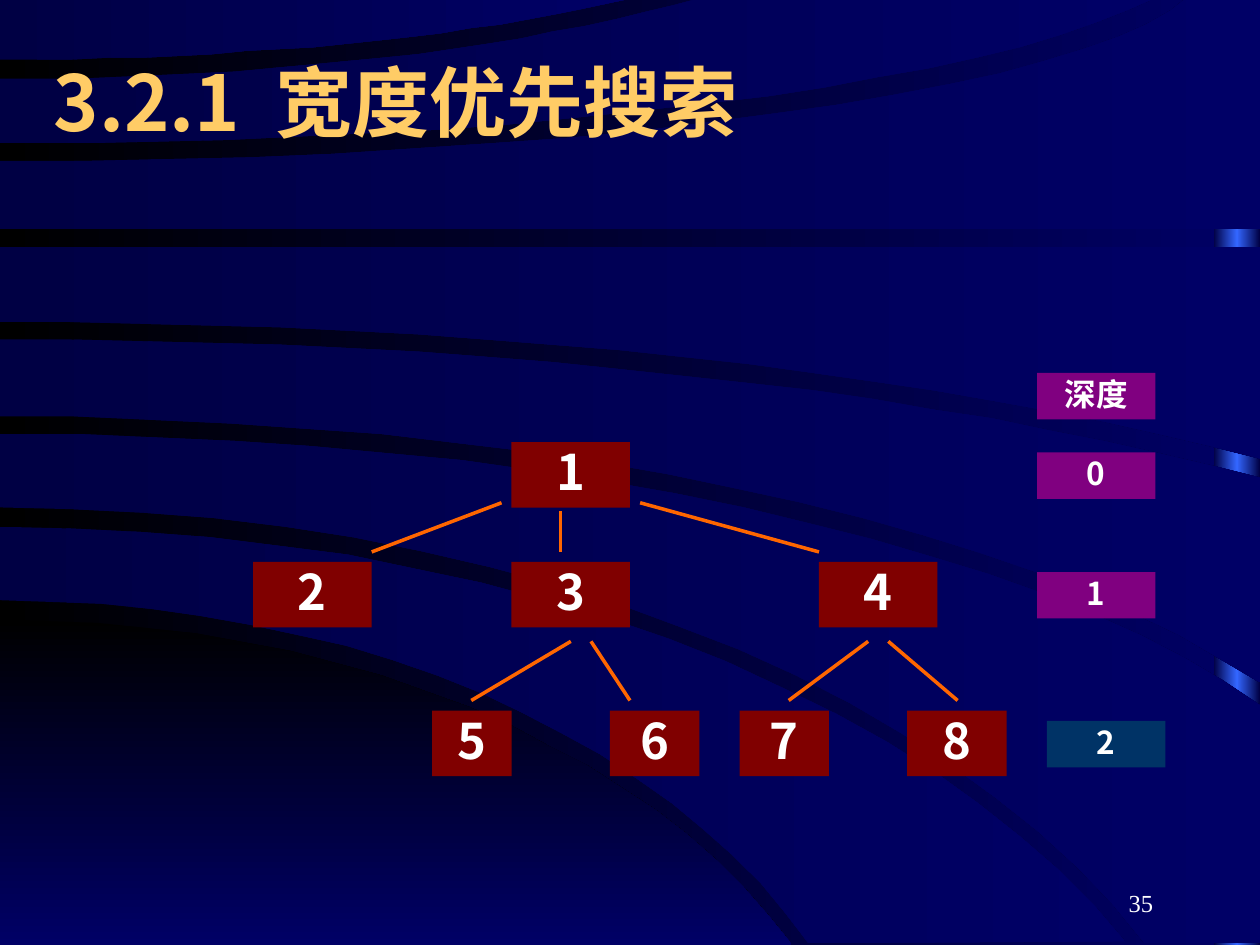
from copy import deepcopy
from math import asin, cos, sin
from pptx import Presentation
from pptx.dml.color import RGBColor
from pptx.enum.shapes import MSO_CONNECTOR, MSO_SHAPE
from pptx.enum.text import MSO_ANCHOR, PP_ALIGN
from pptx.oxml.ns import qn
from pptx.util import Pt
from lxml import etree

BLACK = RGBColor(0x00, 0x00, 0x00)
DEEP = RGBColor(0x00, 0x00, 0x44)
NAVY = RGBColor(0x00, 0x00, 0x66)
GLOW = RGBColor(0x33, 0x66, 0xFF)
GOLD = RGBColor(0xFF, 0xCC, 0x66)
WHITE = RGBColor(0xFF, 0xFF, 0xFF)
RED = RGBColor(0x80, 0x00, 0x00)
PURPLE = RGBColor(0x80, 0x00, 0x80)
TEAL = RGBColor(0x00, 0x33, 0x66)
ORANGE = RGBColor(0xFF, 0x66, 0x00)
SANS = "Noto Sans CJK SC"
SERIF = "Times New Roman"


def fade(fill, start, end, angle=0):
    fill.gradient()
    fill.gradient_angle = angle
    for stop, color in zip(fill.gradient_stops, (start, end)):
        stop.color.rgb = color


def write(shape, text, size, color, align, anchor, font=SANS, bold=True):
    frame = shape.text_frame
    frame.word_wrap = True
    frame.vertical_anchor = anchor
    para = frame.paragraphs[0]
    para.alignment = align
    run = para.add_run()
    run.text = text
    run.font.size = Pt(size)
    run.font.bold = bold
    run.font.color.rgb = color
    run.font.name = font
    east = etree.SubElement(run.font._element, qn("a:ea"))
    east.set("typeface", font)
    return para


prs = Presentation()
prs.slide_width, prs.slide_height = Pt(720), Pt(540)
slide = prs.slides.add_slide(prs.slide_layouts[6])
shapes = slide.shapes
fade(slide.background.fill, BLACK, NAVY)

# Glowing strip at the right edge
strip = shapes.add_shape(MSO_SHAPE.RECTANGLE, Pt(693.5), Pt(0), Pt(26.5), Pt(540))
strip.shadow.inherit = False
strip.line.fill.background()
fade(strip.fill, DEEP, DEEP)
stops = strip._element.spPr.find(".//" + qn("a:gsLst"))
mid = deepcopy(stops[0])
mid.set("pos", "50000")
stops.insert(1, mid)
strip.fill.gradient_stops[1].color.rgb = GLOW

# Bands between two elliptic arcs; an arc is its left y, radii and last x
STEPS = 20
bands = [
    ((354, 500, 324, 452), (540, 720, 0, 452), []),
    ((301, 708, 408, 643), (343, 508, 336, 462), []),
    ((248, 800, 275, 720), (290, 720, 428, 654), [(720, 539)]),
    ((194, 1000, 258, 720), (238, 815, 286, 720), []),
    ((141, 720, 0, 720), (184, 1000, 254, 720), []),
    ((92, 690, -114, 679), (131, 720, 0, 720), [(720, -1)]),
    ((45, 540, -140, 400), (82, 700, -124, 660), []),
    ((-1, 720, 0, 361), (34, 480, -103, 361), []),
]
for i, (top, base, corner) in enumerate(bands):
    arcs = []
    for y, wide, high, last in (top, base):
        turns = [asin(last / wide) * n / STEPS for n in range(STEPS + 1)]
        arcs.append([(wide * sin(t), y + high * (1 - cos(t))) for t in turns])
    points = arcs[0] + corner + arcs[1][::-1]
    path = shapes.build_freeform(*points[0], scale=Pt(1))
    path.add_line_segments(points[1:], close=True)
    band = path.convert_to_shape()
    band.shadow.inherit = False
    band.line.fill.background()
    if i == 0:
        fade(band.fill, BLACK, NAVY, 270)
    else:
        fade(band.fill, DEEP, NAVY)

# Page number and title
page = shapes.add_textbox(Pt(516.24), Pt(491.76), Pt(149.76), Pt(36))
write(page, "35", 14, WHITE, PP_ALIGN.RIGHT, MSO_ANCHOR.BOTTOM, SERIF, False)
title = shapes.add_textbox(Pt(23.76), Pt(12.24), Pt(612), Pt(90))
write(title, "3.2.1  宽度优先搜索", 44, GOLD, PP_ALIGN.LEFT, MSO_ANCHOR.MIDDLE)

# Tree nodes and depth labels: text, left, top, width, height, fill, size
WIDE, TALL, LOW = 67.7, 37.4, 26.6
ROWS = 252.7, 321.1, 406.1
boxes = [(text, x, ROWS[row], w, TALL, RED, 28) for text, x, row, w in (
    ("1", 292.3, 0, WIDE), ("2", 144.7, 1, WIDE), ("3", 292.3, 1, WIDE),
    ("4", 468, 1, WIDE), ("5", 247, 2, 45.4), ("6", 348.5, 2, 51.1),
    ("7", 422.6, 2, 51.1), ("8", 518.4, 2, 56.9))]
boxes.append(("深度", 592.6, 213.1, WIDE, LOW, PURPLE, 18))
for depth, (x, color) in enumerate(((592.6, PURPLE), (592.6, PURPLE), (598.3, TEAL))):
    boxes.append((str(depth), x, ROWS[depth] + 5.8, WIDE, LOW, color, 18))
for text, x, y, w, h, color, size in boxes:
    box = shapes.add_shape(MSO_SHAPE.RECTANGLE, Pt(x), Pt(y), Pt(w), Pt(h))
    box.shadow.inherit = False
    box.fill.solid()
    box.fill.fore_color.rgb = color
    box.line.fill.background()
    para = write(box, text, size, WHITE, PP_ALIGN.CENTER, MSO_ANCHOR.MIDDLE)
    para.line_spacing = 0.9

# Branches of the tree: upper y, lower y, pairs of upper and lower x
for y1, y2, pairs in (
        (287.3, 315.4, ((286.6, 212.4), (365.8, 468))),
        (292.3, 315.4, ((320.4, 320.4),)),
        (366.5, 400.3, ((326.2, 269.3), (337.7, 360), (496.1, 450.7), (507.6, 547.2)))):
    for x1, x2 in pairs:
        branch = shapes.add_connector(
            MSO_CONNECTOR.STRAIGHT, Pt(x1), Pt(y1), Pt(x2), Pt(y2))
        branch.line.color.rgb = ORANGE
        branch.line.width = Pt(2)
        etree.SubElement(branch._element.spPr, qn("a:effectLst"))

prs.save("out.pptx")
